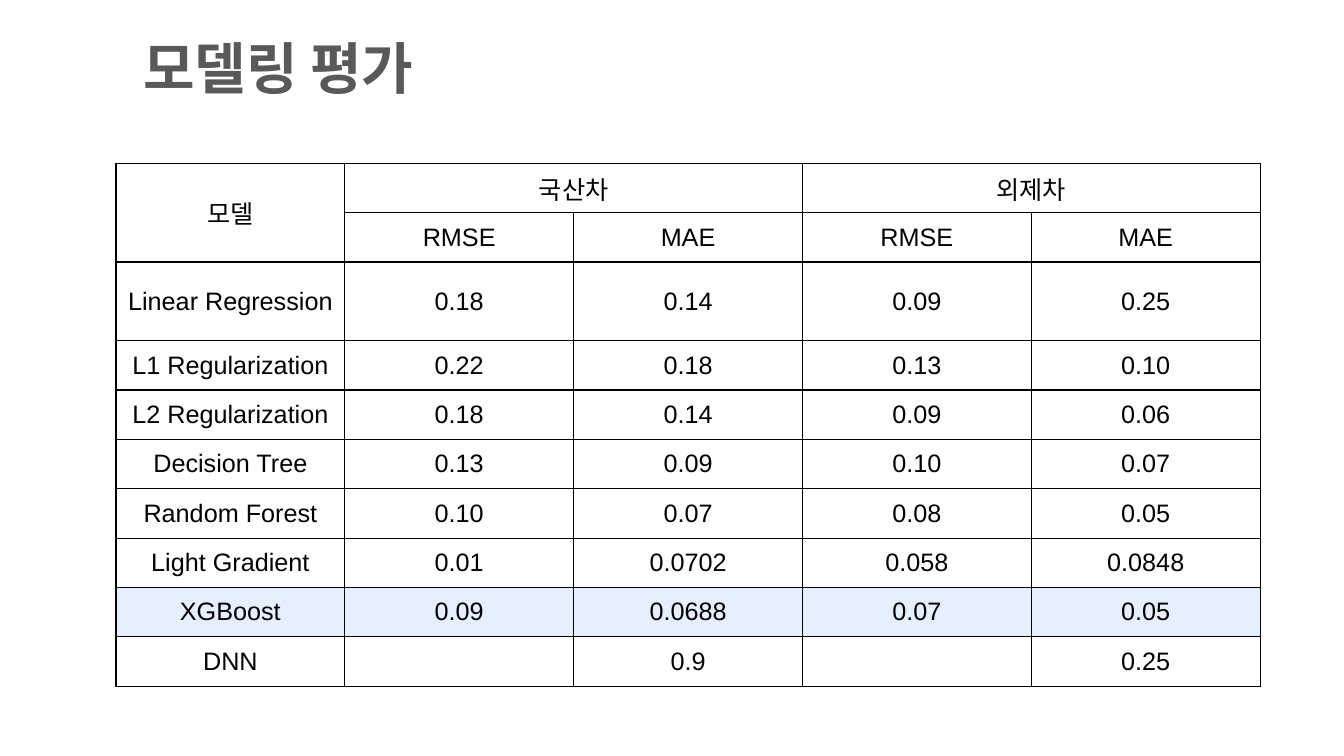
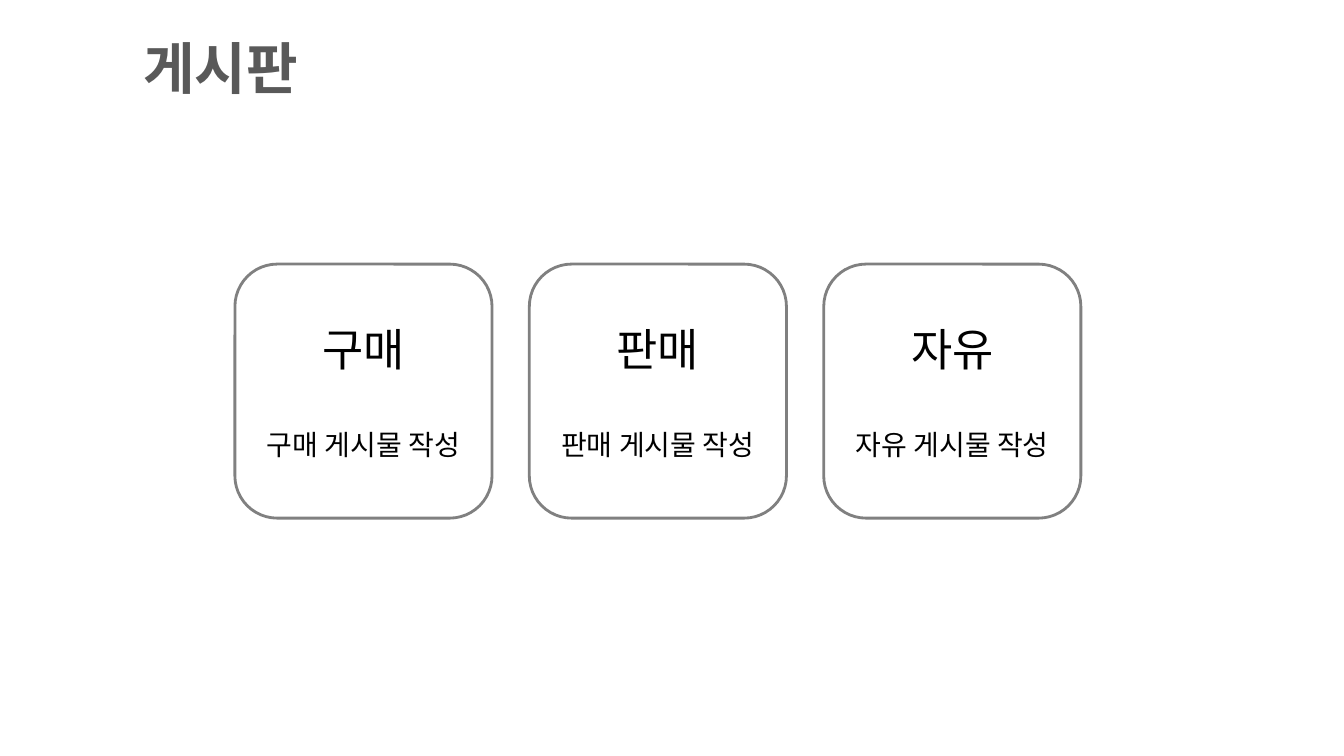
from dataclasses import dataclass

from lxml import etree
from pptx import Presentation
from pptx import util as u
from pptx.dml.color import RGBColor
from pptx.enum import shapes, text
from pptx.oxml import ns

# Content
EVALUATION_TITLE = "모델링 평가"
SCORES = [
    ("모델", "국산차", "", "외제차", ""),
    ("", "RMSE", "MAE", "RMSE", "MAE"),
    ("Linear Regression", "0.18", "0.14", "0.09", "0.25"),
    ("L1 Regularization", "0.22", "0.18", "0.13", "0.10"),
    ("L2 Regularization", "0.18", "0.14", "0.09", "0.06"),
    ("Decision Tree", "0.13", "0.09", "0.10", "0.07"),
    ("Random Forest", "0.10", "0.07", "0.08", "0.05"),
    ("Light Gradient", "0.01", "0.0702", "0.058", "0.0848"),
    ("XGBoost", "0.09", "0.0688", "0.07", "0.05"),
    ("DNN", "", "0.9", "", "0.25"),
]
HEADER_MERGES = [((0, 0), (1, 0)), ((0, 1), (0, 2)), ((0, 3), (0, 4))]
BEST_MODEL = "XGBoost"
TALL_MODEL = "Linear Regression"

BOARD_TITLE = "게시판"
BOARDS = [
    ("구매", "구매 게시물 작성"),
    ("판매", "판매 게시물 작성"),
    ("자유", "자유 게시물 작성"),
]


@dataclass(frozen=True)
class Theme:
    font: str = "Arial"
    title_color: str = "595959"
    ink: str = "000000"
    paper: str = "FFFFFF"
    highlight: str = "E6EFFF"
    card_line: str = "808080"
    title_size: int = 40
    table_size: int = 18
    card_size: int = 32
    caption_size: int = 20


THEME = Theme()


# Shared helpers
def add_run(paragraph, words, size, color=THEME.ink, bold=False):
    run = paragraph.add_run()
    run.text = words
    run.font.name = THEME.font
    run.font.size = u.Pt(size)
    run.font.bold = bold
    run.font.color.rgb = RGBColor.from_string(color)


def fill_solid(target, color):
    target.fill.solid()
    target.fill.fore_color.rgb = RGBColor.from_string(color)


def add_titled_slide(presentation, words):
    slide = presentation.slides.add_slide(presentation.slide_layouts[5])
    title = slide.shapes.title
    title.left, title.top = u.Inches(1.32), u.Inches(0.31)
    title.width, title.height = u.Inches(11.5), u.Inches(0.79)
    frame = title.text_frame
    frame.auto_size = text.MSO_AUTO_SIZE.NONE
    frame.vertical_anchor = text.MSO_ANCHOR.MIDDLE
    paragraph = frame.paragraphs[0]
    paragraph.alignment = text.PP_ALIGN.LEFT
    paragraph.line_spacing = 0.9
    add_run(paragraph, words, THEME.title_size, THEME.title_color, bold=True)
    return slide


def add_borders(cell):
    properties = cell._tc.get_or_add_tcPr()
    for side in ("a:lnL", "a:lnR", "a:lnT", "a:lnB"):
        line = etree.SubElement(properties, ns.qn(side), w=str(u.Pt(1)))
        solid = etree.SubElement(line, ns.qn("a:solidFill"))
        etree.SubElement(solid, ns.qn("a:srgbClr"), val=THEME.ink)


# Slide 1: model scores
def build_evaluation(presentation):
    slide = add_titled_slide(presentation, EVALUATION_TITLE)
    frame = slide.shapes.add_table(
        len(SCORES), len(SCORES[0]),
        u.Inches(1.15), u.Inches(1.62), u.Inches(11.35), u.Inches(5.22))
    table = frame.table
    table.first_row = table.horz_banding = False

    for row, values in enumerate(SCORES):
        table.rows[row].height = u.Inches(0.78 if values[0] == TALL_MODEL else 0.49)
        color = THEME.highlight if values[0] == BEST_MODEL else THEME.paper
        for column, value in enumerate(values):
            cell = table.cell(row, column)
            add_borders(cell)
            fill_solid(cell, color)
            cell.vertical_anchor = text.MSO_ANCHOR.MIDDLE
            paragraph = cell.text_frame.paragraphs[0]
            paragraph.alignment = text.PP_ALIGN.CENTER
            if value:
                add_run(paragraph, value, THEME.table_size)

    for first, last in HEADER_MERGES:
        table.cell(*first).merge(table.cell(*last))


# Slide 2: board cards
def build_boards(presentation):
    slide = add_titled_slide(presentation, BOARD_TITLE)
    left, top, width, height, gap = 2.33, 2.62, 2.55, 2.52, 0.37
    for index, (name, caption) in enumerate(BOARDS):
        card = slide.shapes.add_shape(
            shapes.MSO_SHAPE.ROUNDED_RECTANGLE,
            u.Inches(left + index * (width + gap)), u.Inches(top),
            u.Inches(width), u.Inches(height))
        card.shadow.inherit = False
        fill_solid(card, THEME.paper)
        card.line.color.rgb = RGBColor.from_string(THEME.card_line)
        card.line.width = u.Pt(2)

        frame = card.text_frame
        frame.word_wrap = True
        frame.vertical_anchor = text.MSO_ANCHOR.MIDDLE
        heading, detail = frame.paragraphs[0], frame.add_paragraph()
        heading.alignment = detail.alignment = text.PP_ALIGN.CENTER
        detail.space_before = u.Pt(37)
        add_run(heading, name, THEME.card_size)
        add_run(detail, caption, THEME.caption_size)


def main():
    presentation = Presentation()
    presentation.slide_width = u.Inches(13.33)
    presentation.slide_height = u.Inches(7.5)
    build_evaluation(presentation)
    build_boards(presentation)
    presentation.save("out.pptx")


if __name__ == "__main__":
    main()
